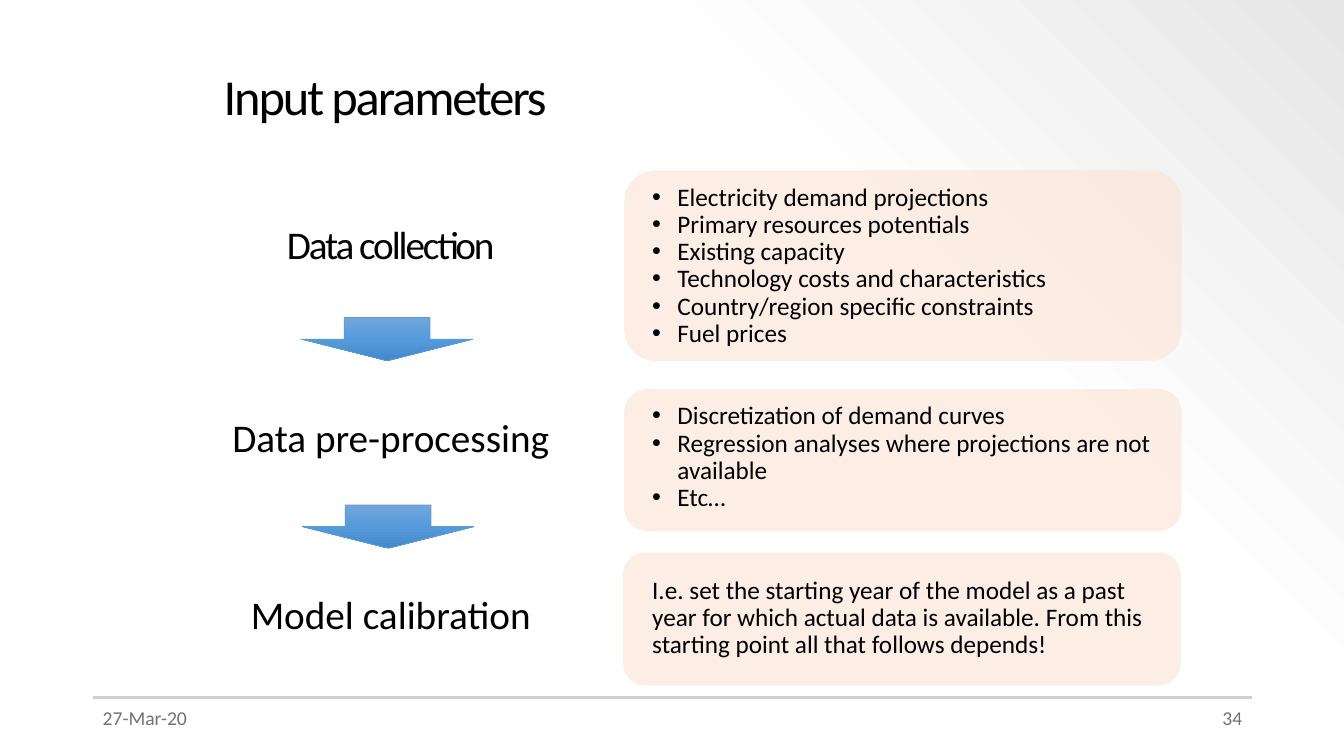
import pptx
import pptx.dml.color
import pptx.enum.shapes
import pptx.enum.text
import pptx.oxml.ns
import pptx.oxml.xmlchemy
import pptx.util
from pptx.util import Inches

ALIGN = pptx.enum.text.PP_ALIGN
ANCHOR = pptx.enum.text.MSO_ANCHOR
SHAPE = pptx.enum.shapes.MSO_SHAPE
qn = pptx.oxml.ns.qn

BLACK, GREY, RULE = "000000", "767171", "D0CECE"
PEACH, BLUE = "FBE5D6", "5B9BD5"
PAGE_STOPS = [(0, "FFFFFF"), (69, "FDFDFD"), (100, "E7E6E6")]
ARROW_STOPS = [(0, "71A6DB"), (50, "559BDB"), (100, "448ACA")]

STAGES = [
    ("Data collection", 2.19, -1.5),
    ("Data pre-processing", 4.1, 0),
    ("Model calibration", 5.86, 0),
]
ARROWS = [(2.99, 3.15), (3, 5.01)]
PANELS = [
    (6.19, 1.69, 1.89, 1.78, 1.58, True, [
        "Electricity demand projections",
        "Primary resources potentials",
        "Existing capacity",
        "Technology costs and characteristics",
        "Country/region specific constraints",
        "Fuel prices",
    ]),
    (6.19, 3.86, 1.41, 3.95, 1.18, True, [
        "Discretization of demand curves",
        "Regression analyses where projections are not available",
        "Etc…",
    ]),
    (6.18, 5.48, 1.32, 5.68, 1.07, False, [
        "I.e. set the starting year of the model as a past year for which "
        "actual data is available. From this starting point all that follows depends!",
    ]),
]


def rgb(value):
    """Turn a hex string into a colour."""
    return pptx.dml.color.RGBColor.from_string(value)


def box(left, top, width, height):
    """Turn four numbers into lengths."""
    return [Inches(n) for n in (left, top, width, height)]


def add_element(parent, tag, **attributes):
    """Append an XML element with the given attributes."""
    element = pptx.oxml.xmlchemy.OxmlElement(tag)
    for key, value in attributes.items():
        element.set(key, value)
    parent.append(element)
    return element


def set_gradient(owner, fill, stops, angle):
    """Fill with a linear gradient of the given stops."""
    fill.gradient()
    fill.gradient_angle = angle
    stop_list = owner.find(".//" + qn("a:gsLst"))
    for old_stop in list(stop_list):
        stop_list.remove(old_stop)
    for percent, value in stops:
        stop = add_element(stop_list, "a:gs", pos=str(percent * 1000))
        add_element(stop, "a:srgbClr", val=value)


def add_bullet(paragraph):
    """Give a paragraph a hanging round bullet."""
    properties = paragraph._p.get_or_add_pPr()
    properties.set("marL", str(Inches(0.25)))
    properties.set("indent", str(Inches(-0.25)))
    add_element(properties, "a:buFont", typeface="Arial")
    add_element(properties, "a:buChar", char="•")


def add_text(slide, area, lines, size, color=BLACK, align=ALIGN.LEFT,
             line_spacing=0.9, anchor=ANCHOR.TOP, tracking=0, bulleted=False):
    """Add a wrapped text box with one paragraph per line."""
    frame = slide.shapes.add_textbox(*box(*area)).text_frame
    frame.word_wrap = True
    frame.vertical_anchor = anchor
    paragraph_format = {"alignment": align, "line_spacing": line_spacing}
    font_format = {"name": "Calibri", "size": pptx.util.Pt(size)}
    for index, line in enumerate(lines):
        paragraph = frame.add_paragraph() if index else frame.paragraphs[0]
        for key, value in paragraph_format.items():
            setattr(paragraph, key, value)
        if bulleted:
            add_bullet(paragraph)
        run = paragraph.add_run()
        run.text = line
        for key, value in font_format.items():
            setattr(run.font, key, value)
        run.font.color.rgb = rgb(color)
        if tracking:
            run._r.get_or_add_rPr().set("spc", str(int(tracking * 100)))


def add_arrow(slide, left, top):
    """Add a blue arrow leading down to the next stage."""
    arrow = slide.shapes.add_shape(SHAPE.DOWN_ARROW, *box(left, top, 1.7, 0.43))
    arrow.shadow.inherit = False
    set_gradient(arrow._element, arrow.fill, ARROW_STOPS, 270)
    arrow.line.color.rgb = rgb(BLUE)
    arrow.line.width = pptx.util.Pt(0.5)


def add_panel(slide, left, top, height):
    """Add a translucent rounded panel."""
    panel = slide.shapes.add_shape(SHAPE.ROUNDED_RECTANGLE, *box(left, top, 5.53, height))
    panel.shadow.inherit = False
    panel.fill.solid()
    panel.fill.fore_color.rgb = rgb(PEACH)
    panel.line.fill.background()
    add_element(panel._element.spPr.find(".//" + qn("a:srgbClr")), "a:alpha", val="63000")


def add_rule(slide):
    """Add the thin line above the footer."""
    rule = slide.shapes.add_connector(
        pptx.enum.shapes.MSO_CONNECTOR.STRAIGHT, *box(0.92, 6.92, 12.42, 6.92))
    rule.line.color.rgb = rgb(RULE)
    rule.line.width = pptx.util.Pt(1.5)
    add_element(rule._element.spPr, "a:effectLst")


def main():
    """Build the input parameters slide."""
    deck = pptx.Presentation()
    deck.slide_width, deck.slide_height = Inches(13.33), Inches(7.5)
    slide = deck.slides.add_slide(deck.slide_layouts[6])
    set_gradient(slide._element, slide.background.fill, PAGE_STOPS, 45)
    add_rule(slide)
    add_text(slide, (2.12, 0.37, 10.3, 1.22), ["Input parameters"], 36,
             anchor=ANCHOR.MIDDLE, tracking=-1.5)
    for stage, top, tracking in STAGES:
        add_text(slide, (1.38, top, 4.99, 0.62), [stage], 28,
                 align=ALIGN.CENTER, tracking=tracking)
    for left, top in ARROWS:
        add_arrow(slide, left, top)
    for left, top, height, text_top, text_height, bulleted, lines in PANELS:
        add_panel(slide, left, top, height)
        add_text(slide, (6.37, text_top, 5.28, text_height), lines, 18, bulleted=bulleted)
    for left, label, align in ((0.92, "27-Mar-20", ALIGN.LEFT), (9.42, "34", ALIGN.RIGHT)):
        add_text(slide, (left, 6.95, 3, 0.4), [label], 14, GREY, align, line_spacing=1.0)
    deck.save("out.pptx")


if __name__ == "__main__":
    main()
